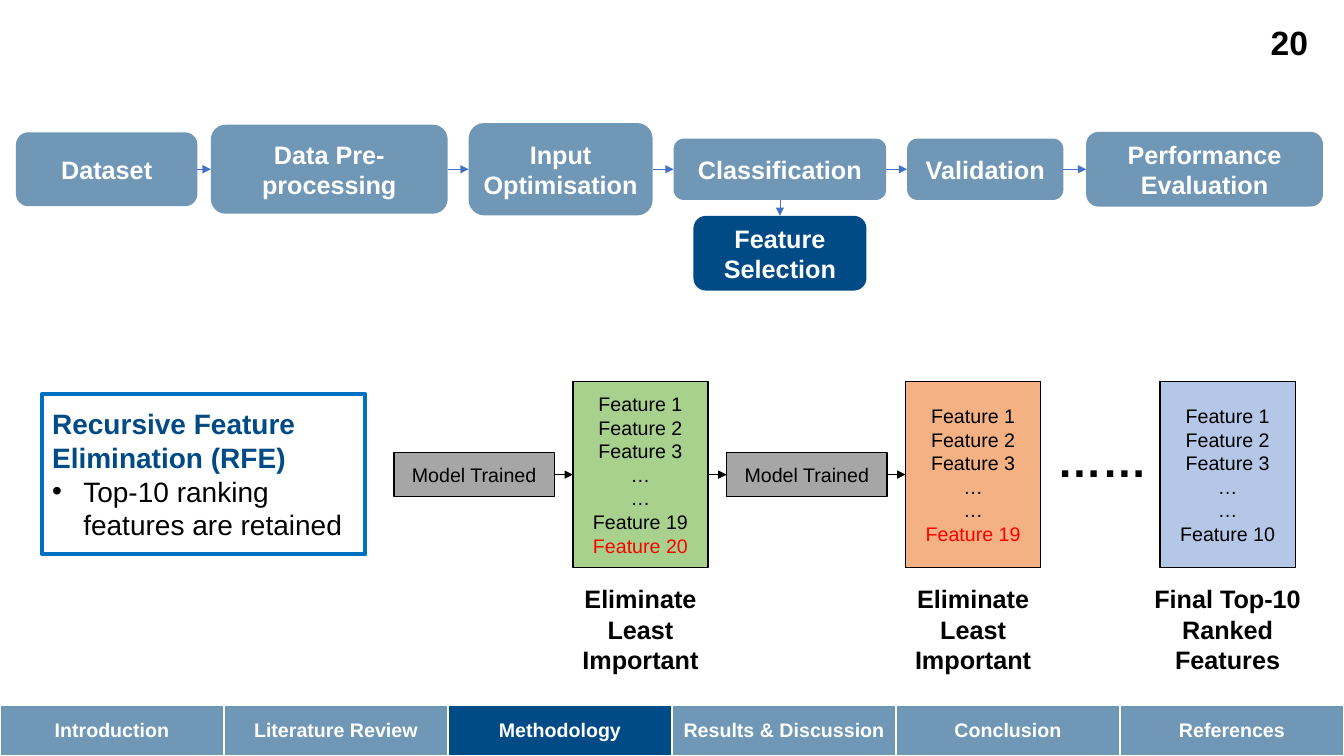
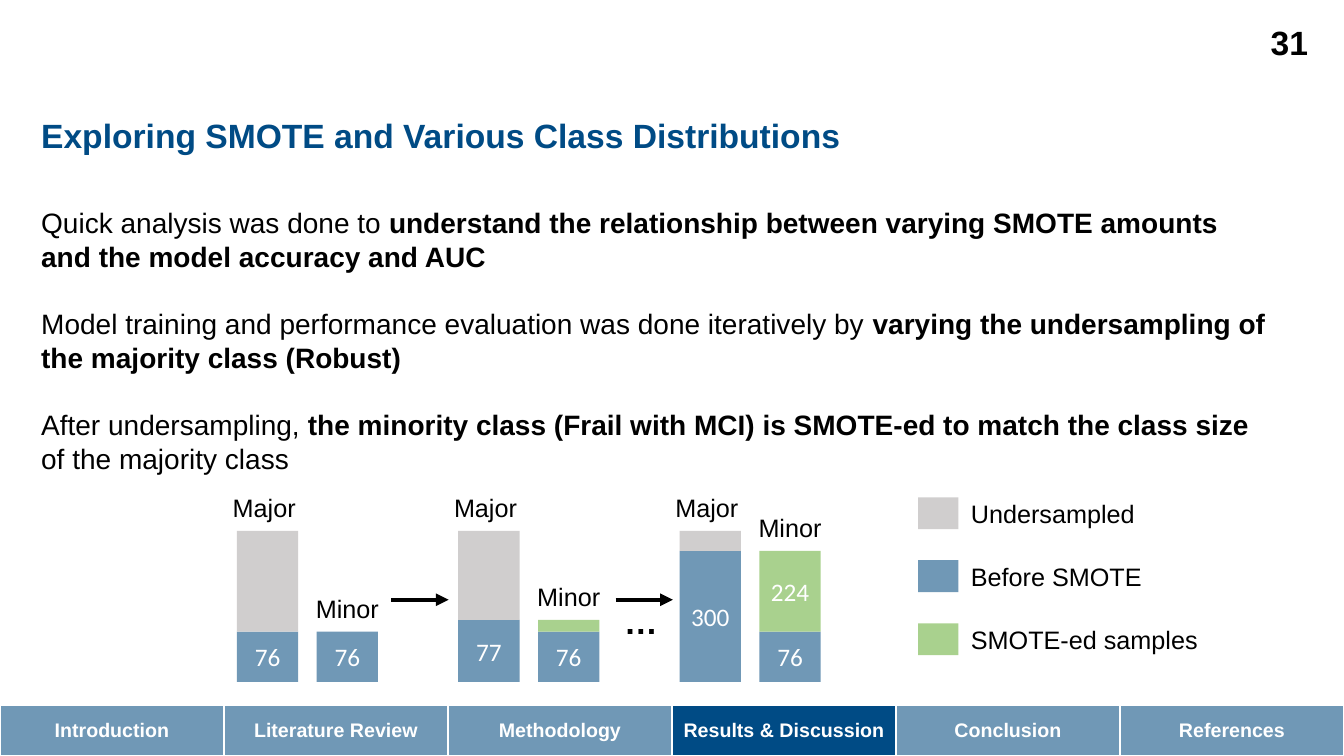
from dataclasses import dataclass
from typing import Optional

from lxml import etree
from pptx import Presentation
from pptx.dml.color import RGBColor
from pptx.enum.shapes import MSO_CONNECTOR, MSO_SHAPE
from pptx.enum.text import MSO_ANCHOR, MSO_AUTO_SIZE, PP_ALIGN
from pptx.oxml.ns import qn
from pptx.util import Inches, Pt

RECTANGLE, ROUNDED = MSO_SHAPE.RECTANGLE, MSO_SHAPE.ROUNDED_RECTANGLE
STRAIGHT = MSO_CONNECTOR.STRAIGHT
LEFT, CENTER, RIGHT = PP_ALIGN.LEFT, PP_ALIGN.CENTER, PP_ALIGN.RIGHT
TOP, MIDDLE = MSO_ANCHOR.TOP, MSO_ANCHOR.MIDDLE
NO_AUTOFIT = MSO_AUTO_SIZE.NONE
SIDE_TOP, SIDE_LEFT, SIDE_BOTTOM, SIDE_RIGHT = range(4)

WHITE = RGBColor(0xFF, 0xFF, 0xFF)
BLACK = RGBColor(0x00, 0x00, 0x00)
RED = RGBColor(0xFF, 0x00, 0x00)
STEEL = RGBColor(0x70, 0x98, 0xB6)
NAVY = RGBColor(0x00, 0x4B, 0x85)
FRAME_BLUE = RGBColor(0x00, 0x70, 0xC0)
ARROW_BLUE = RGBColor(0x44, 0x72, 0xC4)
GREEN = RGBColor(0xA9, 0xD1, 0x8E)
ORANGE = RGBColor(0xF4, 0xB1, 0x83)
PALE_BLUE = RGBColor(0xB4, 0xC7, 0xE7)
GRAY = RGBColor(0xA6, 0xA6, 0xA6)
LIGHT_GRAY = RGBColor(0xD0, 0xCE, 0xCE)

SLIDE_WIDTH, SLIDE_HEIGHT = Inches(13.33), Inches(7.5)
COLUMNS, ROWS = 160, 90
SECTIONS = ["Introduction", "Literature Review", "Methodology",
            "Results & Discussion", "Conclusion", "References"]


@dataclass
class Area:
    left: float
    top: float
    width: float
    height: float

    def lengths(self) -> tuple:
        return across(self.left), down(self.top), across(self.width), down(self.height)


@dataclass
class Style:
    size: float = 18
    color: RGBColor = BLACK
    bold: bool = False
    name: str = "Arial"


@dataclass
class Span:
    text: str
    style: Style


@dataclass
class Step:
    text: str
    left: float
    width: float
    height: float


@dataclass
class FeatureList:
    left: float
    fill: RGBColor
    last: Span
    caption: str
    middle: int = 2
    extra: tuple = ()


@dataclass
class Segment:
    height: float
    fill: RGBColor
    text: str = ""


@dataclass
class Bar:
    label: str
    group: int
    segments: list


BOX_TEXT = Style(color=WHITE, bold=True)
FEATURE = Style(14)
LAST_FEATURE = Style(14, RED)
CAPTION = Style(bold=True)
HEADING = Style(24, NAVY, True)
PAGE = Style(24, bold=True)
BODY, BODY_BOLD = Style(20), Style(20, bold=True)
LABEL = Style()
BAR_VALUE = Style(color=WHITE, name="Calibri")


def across(columns: float) -> int:
    return round(SLIDE_WIDTH * columns / COLUMNS)


def down(rows: float) -> int:
    return round(SLIDE_HEIGHT * rows / ROWS)


def set_values(target, values: dict) -> None:
    for name, value in values.items():
        setattr(target, name, value)


def write(frame, paragraphs: list, align=CENTER, anchor=MIDDLE) -> None:
    set_values(frame, {"word_wrap": True, "auto_size": NO_AUTOFIT, "vertical_anchor": anchor})
    for index, spans in enumerate(paragraphs):
        paragraph = frame.add_paragraph() if index else frame.paragraphs[0]
        paragraph.alignment = align
        for span in spans:
            run = paragraph.add_run()
            run.text = span.text
            style = span.style
            set_values(run.font, {"size": Pt(style.size), "bold": style.bold, "name": style.name})
            run.font.color.rgb = style.color


def add_box(slide, area: Area, fill: RGBColor, paragraphs: list = (),
            line: Optional[RGBColor] = None, kind=RECTANGLE):
    shape = slide.shapes.add_shape(kind, *area.lengths())
    shape.shadow.inherit = False
    shape.fill.solid()
    shape.fill.fore_color.rgb = fill
    if line is None:
        shape.line.fill.background()
    else:
        shape.line.color.rgb = line
        shape.line.width = Pt(1)
    if paragraphs:
        write(shape.text_frame, paragraphs)
    return shape


def add_text(slide, area: Area, text: str, style: Style, align=CENTER) -> None:
    box = slide.shapes.add_textbox(*area.lengths())
    write(box.text_frame, [[Span(text, style)]], align, TOP)


def add_arrow(slide, color: RGBColor, weight: float, start: tuple = (0, 0), end: tuple = (0, 0)):
    arrow = slide.shapes.add_connector(STRAIGHT, across(start[0]), down(start[1]),
                                       across(end[0]), down(end[1]))
    arrow.line.color.rgb = color
    arrow.line.width = Pt(weight)
    etree.SubElement(arrow.line._get_or_add_ln(), qn("a:tailEnd"), type="triangle")
    etree.SubElement(arrow._element.spPr, qn("a:effectLst"))
    return arrow


def join(slide, first, second, color: RGBColor, sides=(SIDE_RIGHT, SIDE_LEFT)) -> None:
    arrow = add_arrow(slide, color, 0.5)
    arrow.begin_connect(first, sides[0])
    arrow.end_connect(second, sides[1])


def place(placeholder, area: Area) -> None:
    values = zip(("left", "top", "width", "height"), area.lengths())
    set_values(placeholder, dict(values))


def set_bullet(paragraph, bullet: str = "", indent: float = 0) -> None:
    properties = paragraph._p.get_or_add_pPr()
    properties.set("marL", str(Inches(indent)))
    properties.set("indent", str(-Inches(indent)))
    if bullet:
        etree.SubElement(properties, qn("a:buFont"), typeface="Arial")
        etree.SubElement(properties, qn("a:buChar"), char=bullet)
    else:
        etree.SubElement(properties, qn("a:buNone"))


def add_footer(slide, active: str) -> None:
    area = Area(0, 84, COLUMNS, 6)
    table = slide.shapes.add_table(1, len(SECTIONS), *area.lengths()).table
    set_values(table, {"first_row": False, "horz_banding": False})
    for index, section in enumerate(SECTIONS):
        cell = table.cell(0, index)
        cell.fill.solid()
        cell.fill.fore_color.rgb = NAVY if section == active else STEEL
        cell.vertical_anchor = MIDDLE
        paragraph = cell.text_frame.paragraphs[0]
        paragraph.alignment = CENTER
        paragraph.text = section
        font = paragraph.runs[0].font
        set_values(font, {"size": Pt(14), "bold": True, "name": "Arial"})
        font.color.rgb = WHITE
        for position, side in enumerate(("lnL", "lnR", "lnT", "lnB")):
            border = etree.Element(qn(f"a:{side}"), w=str(Pt(1)))
            fill = etree.SubElement(border, qn("a:solidFill"))
            etree.SubElement(fill, qn("a:srgbClr"), val=str(WHITE))
            cell._tc.get_or_add_tcPr().insert(position, border)


def start_slide(presentation, active: str, page: str):
    slide = presentation.slides.add_slide(presentation.slide_layouts[1])
    add_footer(slide, active)
    add_text(slide, Area(145.3, 2, 11.6, 6), page, PAGE, RIGHT)
    return slide


def build_methodology(presentation) -> None:
    slide = start_slide(presentation, "Methodology", "20")
    title = slide.shapes.title._element
    title.getparent().remove(title)

    axis = 20.15
    steps = [Step("Dataset", 1.9, 21.6, 8.8), Step("Data Pre-processing", 25.1, 28.2, 10.6),
             Step("Input Optimisation", 55.8, 21.9, 11), Step("Classification", 80.2, 25.3, 7.3),
             Step("Validation", 108, 18.6, 7.3), Step("Performance Evaluation", 129.3, 28.2, 8.9)]
    boxes = [add_box(slide, Area(step.left, axis - step.height / 2, step.width, step.height),
                     STEEL, [[Span(step.text, BOX_TEXT)]], kind=ROUNDED) for step in steps]
    for first, second in zip(boxes, boxes[1:]):
        join(slide, first, second, ARROW_BLUE)
    selection = add_box(slide, Area(82.55, 25.7, 20.6, 8.9), NAVY,
                        [[Span("Feature Selection", BOX_TEXT)]], kind=ROUNDED)
    join(slide, boxes[3], selection, ARROW_BLUE, (SIDE_BOTTOM, SIDE_TOP))

    body = slide.placeholders[1]
    place(body, Area(5, 46.9, 38.5, 19.1))
    body.line.color.rgb = FRAME_BLUE
    body.line.width = Pt(3)
    write(body.text_frame, [[Span("Recursive Feature Elimination (RFE)", Style(20, NAVY, True))],
                            [Span("Top-10 ranking features are retained", BODY)]], LEFT)
    heading, item = body.text_frame.paragraphs
    set_bullet(heading)
    set_bullet(item, "•", 0.31)
    for paragraph in (heading, item):
        paragraph.space_before = Pt(0)

    axis, gap = 56.5, 2.2
    model_width, model_height, list_width, list_height = 19.1, 5.3, 16.1, 22.1
    cycle = model_width + list_width + 2 * gap
    first_model = 46.9
    first_list = first_model + model_width + gap
    models = [add_box(slide, Area(first_model + index * cycle, axis - model_height / 2,
                                  model_width, model_height),
                      GRAY, [[Span("Model Trained", FEATURE)]], BLACK) for index in range(2)]
    lists = [FeatureList(first_list, GREEN, Span("Feature 20", LAST_FEATURE),
                         "Eliminate Least Important", extra=("Feature 19",)),
             FeatureList(first_list + cycle, ORANGE, Span("Feature 19", LAST_FEATURE),
                         "Eliminate Least Important"),
             FeatureList(138.1, PALE_BLUE, Span("Feature 10", FEATURE),
                         "Final Top-10 Ranked Features")]
    list_boxes = []
    for features in lists:
        names = ["Feature 1", "Feature 2", "Feature 3", *["…"] * features.middle, *features.extra]
        paragraphs = [[Span(name, FEATURE)] for name in names] + [[features.last]]
        list_boxes.append(add_box(slide, Area(features.left, axis - list_height / 2, list_width,
                                              list_height), features.fill, paragraphs, BLACK))
        caption_left = features.left + (list_width - 21) / 2
        add_text(slide, Area(caption_left, 68.9, 21, 12.1), features.caption, CAPTION)
    chain = [models[0], list_boxes[0], models[1], list_boxes[1]]
    for first, second in zip(chain, chain[1:]):
        join(slide, first, second, BLACK)
    add_text(slide, Area(122.3, 50.9, 17.8, 7.7), "……", Style(32, bold=True))


def build_results(presentation) -> None:
    slide = start_slide(presentation, "Results & Discussion", "31")
    title, body = slide.shapes.title, slide.placeholders[1]
    place(title, Area(3.7, 13.1, 118.7, 6))
    write(title.text_frame, [[Span("Exploring SMOTE and Various Class Distributions", HEADING)]],
          LEFT, TOP)
    place(body, Area(3.7, 23.9, 148.8, 33.5))
    write(body.text_frame, [
        [Span("Quick analysis was done to ", BODY),
         Span("understand the relationship between varying SMOTE amounts and the model "
              "accuracy and AUC", BODY_BOLD)],
        [Span("Model training and performance evaluation was done iteratively by ", BODY),
         Span("varying the undersampling of the majority class (Robust)", BODY_BOLD)],
        [Span("After undersampling, ", BODY),
         Span("the minority class (Frail with MCI) is SMOTE-ed to match the class size ",
              BODY_BOLD),
         Span("of the majority class", BODY)]], LEFT, TOP)
    for index, paragraph in enumerate(body.text_frame.paragraphs):
        set_bullet(paragraph)
        paragraph.space_before = Pt(24 if index else 0)

    before = Segment(6, STEEL, "76")
    bars = [Bar("Major", 0, [before, Segment(12, LIGHT_GRAY)]), Bar("Minor", 0, [before]),
            Bar("Major", 1, [Segment(7.4, STEEL, "77"), Segment(10.6, LIGHT_GRAY)]),
            Bar("Minor", 1, [before, Segment(1.4, GREEN)]),
            Bar("Major", 2, [Segment(15.6, STEEL, "300"), Segment(2.4, LIGHT_GRAY)]),
            Bar("Minor", 2, [before, Segment(9.6, GREEN, "224")])]
    for bar in bars:
        offset, shift = (0, 3) if bar.label == "Major" else (9.5, 2.6)
        left, top = 28.2 + 26.35 * bar.group + offset, 81.2
        for segment in bar.segments:
            top -= segment.height
            paragraphs = [[Span(segment.text, BAR_VALUE)]] if segment.text else []
            add_box(slide, Area(left, top, 7.3, segment.height), segment.fill, paragraphs)
        add_text(slide, Area(left - shift, top - 5.2, 12.5, 4.8), bar.label, LABEL)
    for left in (46.6, 73.3):
        add_arrow(slide, BLACK, 3, (left, 71.4), (left + 6.8, 71.4))
    add_text(slide, Area(72, 71, 8.6, 6), "…", PAGE)

    legend = [("Undersampled", LIGHT_GRAY), ("Before SMOTE", STEEL), ("SMOTE-ed samples", GREEN)]
    for index, (text, fill) in enumerate(legend):
        top = 59.2 + 7.5 * index
        add_box(slide, Area(109.3, top, 4.8, 3.8), fill)
        add_text(slide, Area(114.4, top - 0.5, 32.6, 4.8), text, LABEL, LEFT)


def main() -> None:
    presentation = Presentation()
    set_values(presentation, {"slide_width": SLIDE_WIDTH, "slide_height": SLIDE_HEIGHT})
    build_methodology(presentation)
    build_results(presentation)
    presentation.save("out.pptx")


if __name__ == "__main__":
    main()
